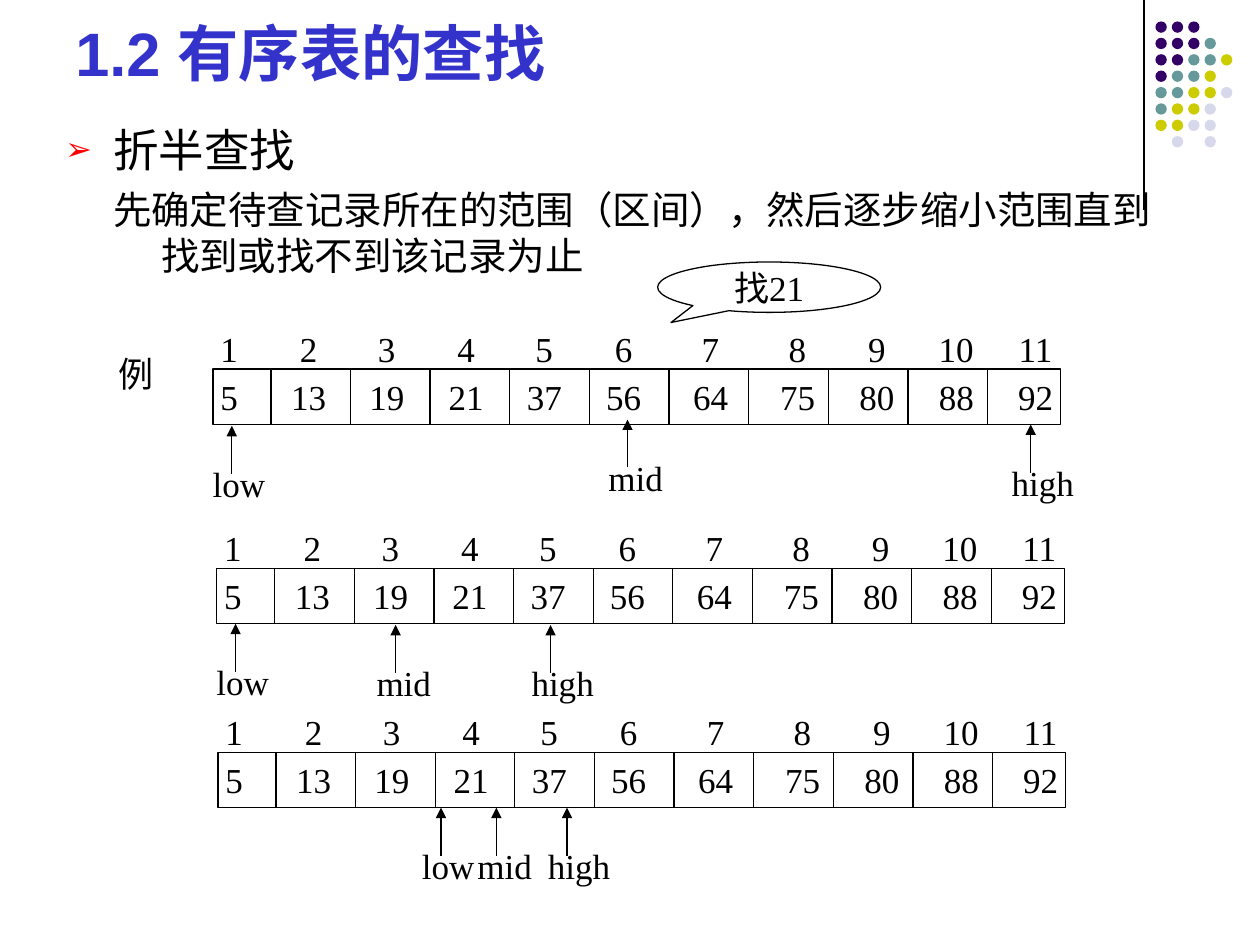
"""Builds a slide that explains binary search on a sorted table."""
import pptx
import pptx.util
import pptx.dml.color
import pptx.enum.shapes
import pptx.enum.text
import pptx.oxml.ns
import lxml.etree

SHAPE = pptx.enum.shapes.MSO_SHAPE
ANCHOR = pptx.enum.text.MSO_ANCHOR
ALIGN = pptx.enum.text.PP_ALIGN
FIT = pptx.enum.text.MSO_AUTO_SIZE
inch = pptx.util.Inches

TITLE = "1.2 有序表的查找"
TOPIC = "折半查找"
IDEA = "先确定待查记录所在的范围（区间），然后逐步缩小范围直到找到或找不到该记录为止"
KEYS = [5, 13, 19, 21, 37, 56, 64, 75, 80, 88, 92]
STOPS = [0.7, 1.32, 1.95, 2.57, 3.2, 3.89, 4.58, 5.21, 5.84, 6.47]
STEPS = [
    (1.69, 2.93, [("low", 1.84, 3.38), ("high", 8.18, 3.37), ("mid", 4.98, 3.33)]),
    (1.72, 4.51, [("low", 1.87, 4.95), ("high", 4.37, 4.96), ("mid", 3.14, 4.96)]),
    (1.73, 5.97, [("low", 3.5, 6.41), ("high", 4.5, 6.41), ("mid", 3.94, 6.41)]),
]
WIDTHS = {"low": 0.63, "high": 0.71, "mid": 0.64}
DOTS = ["PPP", "PPPT", "PPTTY", "PTTY", "TTYYL", "TYYL", "YYLL", " L L"]
HUES = {"P": "330066", "T": "669999", "Y": "CCCC00", "L": "D8D8EC"}
BLACK, BLUE, RED = "000000", "3333CC", "FF0000"
ROW_W, ROW_H, FIRST, CELL = 6.73, 0.44, 0.46, 0.632
DOT, PITCH = 0.09, 0.13

deck = pptx.Presentation()
deck.slide_width, deck.slide_height = inch(10), inch(7.5)
slide = deck.slides.add_slide(deck.slide_layouts[6])


def rgb(code):
    return pptx.dml.color.RGBColor.from_string(code)


def add_tag(parent, name, **attrs):
    return lxml.etree.SubElement(parent, pptx.oxml.ns.qn(name), attrs)


def style(para, size, font="Times New Roman", color=BLACK, bold=False):
    for run in para.runs:
        run.font.size = pptx.util.Pt(size)
        run.font.name = font
        run.font.color.rgb = rgb(color)
        run.font.bold = bold


def add_text(words, left, top, width, height=0.44, size=20, wrap=False, **look):
    box = slide.shapes.add_textbox(inch(left), inch(top), inch(width), inch(height))
    frame = box.text_frame
    frame.word_wrap = wrap
    frame.auto_size = FIT.NONE if wrap else FIT.SHAPE_TO_FIT_TEXT
    frame.text = words
    style(frame.paragraphs[0], size, **look)
    return frame


def add_line(x1, y1, x2, y2, arrow=False):
    line = slide.shapes.add_connector(
        pptx.enum.shapes.MSO_CONNECTOR.STRAIGHT, inch(x1), inch(y1), inch(x2), inch(y2))
    line.line.color.rgb = rgb(BLACK)
    line.line.width = pptx.util.Pt(0.75)
    if arrow:
        add_tag(line.line._get_or_add_ln(), "a:tailEnd", type="triangle")
    add_tag(line._element.spPr, "a:effectLst")


def add_shape(kind, left, top, width, height, fill=None):
    shape = slide.shapes.add_shape(kind, inch(left), inch(top), inch(width), inch(height))
    shape.shadow.inherit = False
    if fill:
        shape.fill.solid()
        shape.fill.fore_color.rgb = rgb(fill)
        shape.line.fill.background()
    else:
        shape.fill.background()
        shape.line.color.rgb = rgb(BLACK)
        shape.line.width = pptx.util.Pt(0.75)
    return shape


def set_tabs(para):
    tabs = add_tag(para._p.get_or_add_pPr(), "a:tabLst")
    for stop in STOPS:
        add_tag(tabs, "a:tab", pos=str(inch(stop)), algn="ctr")


def indent(para, left, before):
    para.space_before = pptx.util.Pt(before)
    props = para._p.get_or_add_pPr()
    props.set("marL", str(inch(left)))
    props.set("indent", str(-inch(0.38)))
    return props


def add_dots():
    add_line(9.08, 0, 9.08, 1.67)
    for row, marks in enumerate(DOTS):
        for col, mark in enumerate(marks):
            if mark in HUES:
                add_shape(SHAPE.OVAL, 9.17 + col * PITCH, 0.17 + row * PITCH,
                          DOT, DOT, HUES[mark])


def add_body():
    frame = add_text(TOPIC, 0.42, 0.92, 9, 1.42, 26, wrap=True, font="Arial")
    props = indent(frame.paragraphs[0], 0.38, 6.5)
    add_tag(add_tag(props, "a:buClr"), "a:srgbClr", val=RED)
    add_tag(props, "a:buSzPct", val="70000")
    add_tag(props, "a:buFont", typeface="Arial")
    add_tag(props, "a:buChar", char="➢")
    para = frame.add_paragraph()
    para.text = IDEA
    para.level = 1
    add_tag(indent(para, 0.76, 5.5), "a:buNone")
    style(para, 22, "Arial")


def add_step(left, top, marks):
    ranks = "\t".join(str(n + 1) for n in range(len(KEYS)))
    set_tabs(add_text(ranks, left - 0.04, top - 0.38, 6.81, wrap=True).paragraphs[0])
    row = add_shape(SHAPE.RECTANGLE, left, top, ROW_W, ROW_H)
    frame = row.text_frame
    frame.margin_left = frame.margin_right = inch(0.06)
    frame.vertical_anchor = ANCHOR.MIDDLE
    frame.word_wrap = True
    frame.text = "\t".join(map(str, KEYS))
    para = frame.paragraphs[0]
    para.alignment = ALIGN.LEFT
    set_tabs(para)
    style(para, 20)
    for n in range(len(KEYS) - 1):
        x = left + FIRST + n * CELL
        add_line(x, top, x, top + ROW_H)
    for name, x, y in marks:
        add_line(x, y + 0.38, x, y, arrow=True)
        add_text(name, x - 0.25, y + 0.24, WIDTHS[name])


def add_callout():
    bubble = add_shape(SHAPE.OVAL_CALLOUT, 5.22, 2.08, 1.77, 0.4)
    bubble.adjustments[0], bubble.adjustments[1] = -0.44, 0.7
    frame = bubble.text_frame
    frame.word_wrap = False
    frame.vertical_anchor = ANCHOR.MIDDLE
    frame.text = "找21"
    frame.paragraphs[0].alignment = ALIGN.CENTER
    style(frame.paragraphs[0], 20)


add_dots()
head = add_text(TITLE, 0.5, 0.13, 8.42, 0.62, 35, wrap=True,
                font="Arial", color=BLUE, bold=True)
head.vertical_anchor = ANCHOR.BOTTOM
add_body()
add_text("例", 0.84, 2.75, 0.54)
for step in STEPS:
    add_step(*step)
add_callout()
deck.save("out.pptx")
